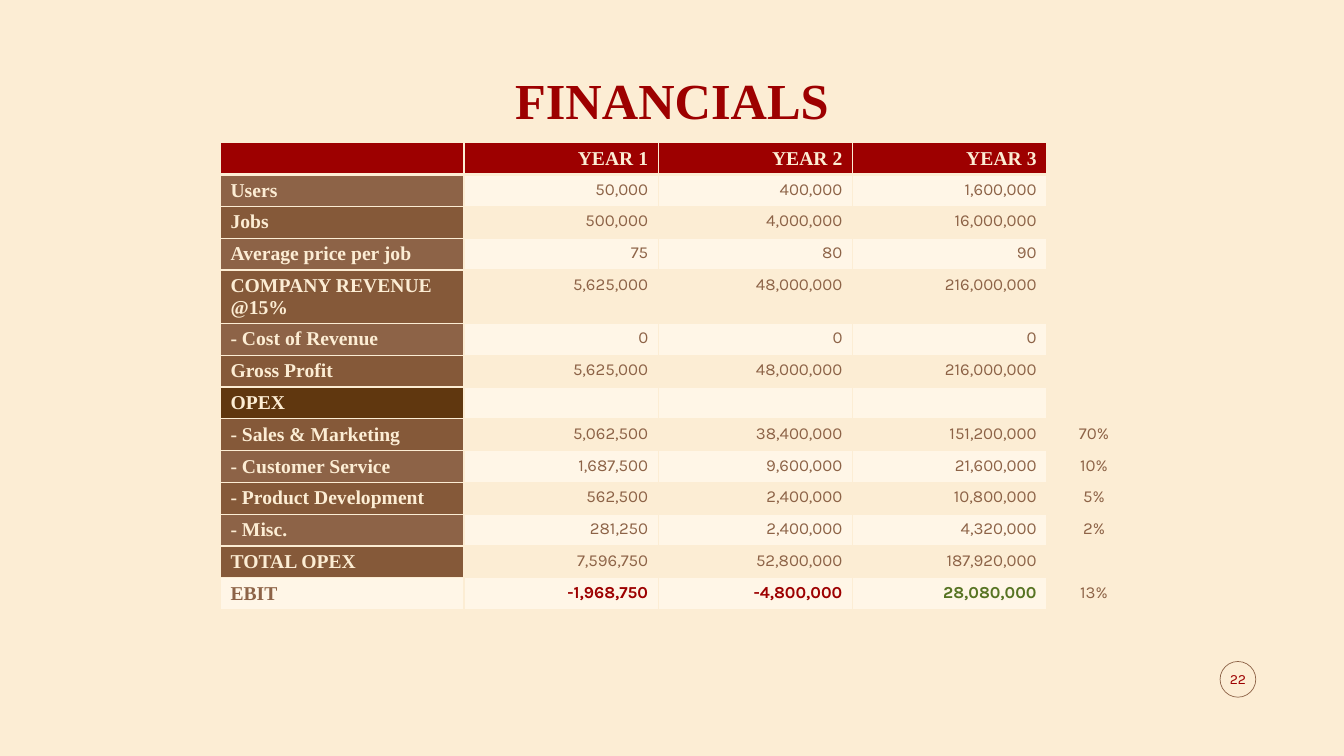
"""Build the Financials slide: a three-year table with a page number."""
from lxml.etree import SubElement
from pptx import Presentation
from pptx.dml.color import RGBColor
from pptx.enum.shapes import MSO_SHAPE
from pptx.enum.text import MSO_ANCHOR, PP_ALIGN
from pptx.oxml.ns import qn
from pptx.util import Emu, Pt

PX = 9525
COLORS = {
    "cream": "FCEDD4", "pale": "FFF6E7", "red": "9D0000", "green": "577423",
    "brown": "8D6347", "umber": "855939", "dark": "60370F",
}
SERIF, SANS = "Times New Roman", "Karla"
ROWS = [
    ["", "YEAR 1", "YEAR 2", "YEAR 3", ""],
    ["Users", "50,000", "400,000", "1,600,000", ""],
    ["Jobs", "500,000", "4,000,000", "16,000,000", ""],
    ["Average price per job", "75", "80", "90", ""],
    ["COMPANY REVENUE @15%", "5,625,000", "48,000,000", "216,000,000", ""],
    ["- Cost of Revenue", "0", "0", "0", ""],
    ["Gross Profit", "5,625,000", "48,000,000", "216,000,000", ""],
    ["OPEX", "", "", "", ""],
    ["- Sales & Marketing", "5,062,500", "38,400,000", "151,200,000", "70%"],
    ["- Customer Service", "1,687,500", "9,600,000", "21,600,000", "10%"],
    ["- Product Development", "562,500", "2,400,000", "10,800,000", "5%"],
    ["- Misc.", "281,250", "2,400,000", "4,320,000", "2%"],
    ["TOTAL OPEX", "7,596,750", "52,800,000", "187,920,000", ""],
    ["EBIT", "-1,968,750", "-4,800,000", "28,080,000", "13%"],
]
COL_WIDTHS = [232, 185, 185, 185, 90]
ROW_HEIGHT, TALL_HEIGHT = 30, 43
HEADER, TALL, OPEX, EBIT = 0, 4, 7, 13
LABEL, YEAR_3, SHARE = 0, 3, 4


def style(p, font, size, color, bold, align):
    p.alignment = align
    p.font.name, p.font.size, p.font.bold = font, Pt(size), bold
    p.font.color.rgb = RGBColor.from_string(COLORS[color])


def add_border(cell, side, width):
    ln = SubElement(cell._tc.get_or_add_tcPr(), qn(f"a:ln{side}"), w=str(Pt(width)))
    SubElement(SubElement(ln, qn("a:solidFill")), qn("a:srgbClr"), val=COLORS["cream"])


prs = Presentation()
prs.slide_width, prs.slide_height = Emu(1280 * PX), Emu(720 * PX)
s = prs.slides.add_slide(prs.slide_layouts[5])
s.background.fill.solid()
s.background.fill.fore_color.rgb = RGBColor.from_string(COLORS["cream"])

ring = s.shapes.add_shape(MSO_SHAPE.OVAL, 1162 * PX, 630 * PX, 34 * PX, 34 * PX)
ring.shadow.inherit = False
ring.fill.background()
ring.line.color.rgb = RGBColor.from_string(COLORS["brown"])
ring.line.width = Pt(0.5)

title = s.shapes.title
title.left, title.top, title.width, title.height = 88 * PX, 55 * PX, 1104 * PX, 74 * PX
tf = title.text_frame
tf.text = "FINANCIALS"
tf.vertical_anchor = MSO_ANCHOR.BOTTOM
tf.paragraphs[0].line_spacing = 0.9
style(tf.paragraphs[0], SERIF, 36, "red", True, PP_ALIGN.CENTER)

height = ROW_HEIGHT * (len(ROWS) - 1) + TALL_HEIGHT
table = s.shapes.add_table(len(ROWS), len(COL_WIDTHS), 210 * PX, 136 * PX,
                           sum(COL_WIDTHS) * PX, height * PX).table
table.first_row = table.horz_banding = False
for col, width in zip(table.columns, COL_WIDTHS):
    col.width = width * PX

for i, row in enumerate(ROWS):
    table.rows[i].height = (TALL_HEIGHT if i == TALL else ROW_HEIGHT) * PX
    for j, text in enumerate(row):
        cell = table.cell(i, j)
        for side in "LRTB":
            thick = (i, side) in [(HEADER, "B"), (HEADER + 1, "T")]
            add_border(cell, side, 3 if thick else 1)

        align = {LABEL: PP_ALIGN.LEFT, SHARE: PP_ALIGN.CENTER}.get(j, PP_ALIGN.RIGHT)
        font, size, color, bold = SANS, 12, "brown", False
        fill = "pale" if i % 2 else None
        if i == HEADER or j == LABEL:
            font, size, color, bold = SERIF, 14, "cream", True
            fill = "brown" if i % 2 else "umber"
        if j == SHARE:
            fill = None
        elif i == HEADER:
            fill = "red"
        elif i == OPEX and j == LABEL:
            fill = "dark"
        elif i == EBIT:
            fill, bold = "pale", True
            color = {LABEL: "brown", YEAR_3: "green"}.get(j, "red")

        if fill:
            cell.fill.solid()
            cell.fill.fore_color.rgb = RGBColor.from_string(COLORS[fill])
        else:
            cell.fill.background()
        cell.text = text
        style(cell.text_frame.paragraphs[0], font, size, color, bold, align)

number = s.shapes.add_textbox(1160 * PX, 628 * PX, 38 * PX, 38 * PX)
tf = number.text_frame
tf.margin_left = tf.margin_right = 0
tf.word_wrap = True
tf.vertical_anchor = MSO_ANCHOR.MIDDLE
tf.text = "22"
style(tf.paragraphs[0], SANS, 10, "red", False, PP_ALIGN.CENTER)

prs.save("out.pptx")
